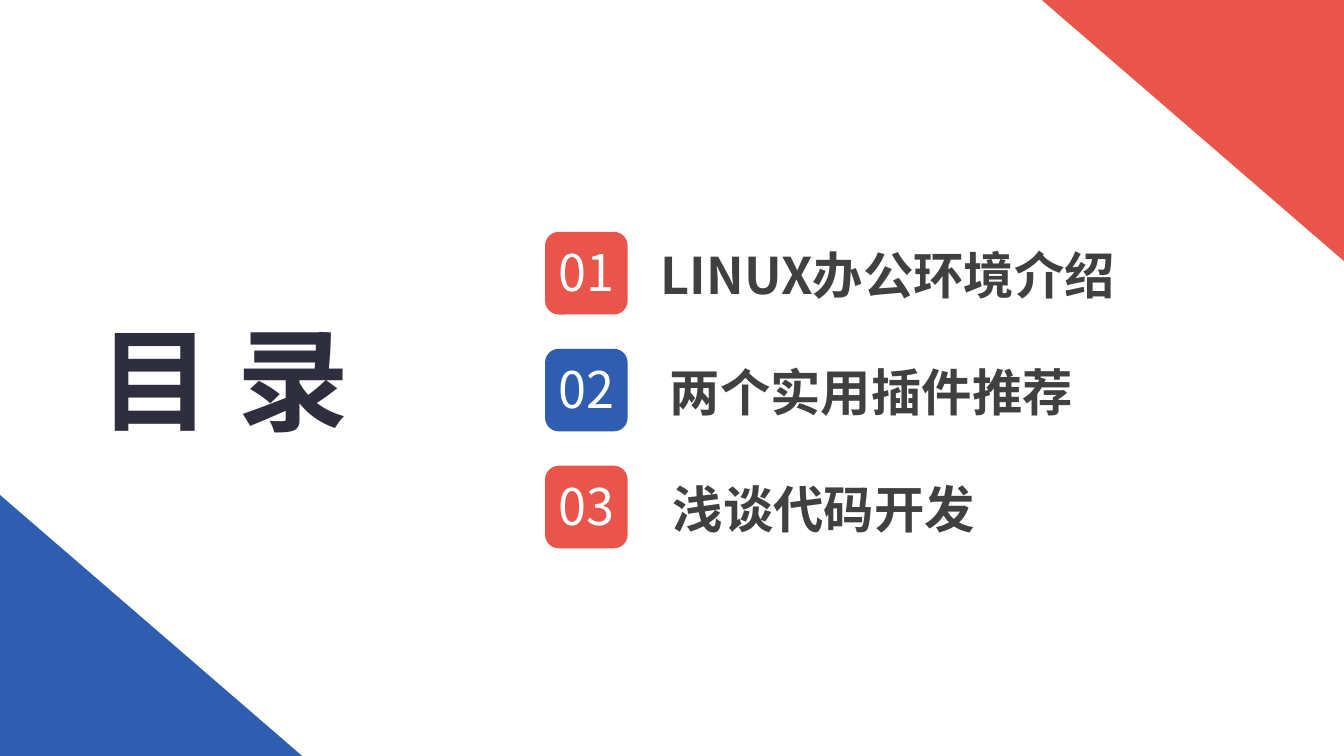
from pptx import Presentation
from pptx import util as u
from pptx.dml.color import RGBColor
from pptx.enum import shapes, text
from pptx.oxml.ns import qn
from lxml import etree

RED = RGBColor(0xE9, 0x55, 0x4A)
BLUE = RGBColor(0x2F, 0x5E, 0xB0)
NAVY = RGBColor(0x2E, 0x2E, 0x3F)
GREY = RGBColor(0x40, 0x40, 0x40)
WHITE = RGBColor(0xFF, 0xFF, 0xFF)
FONT = "Noto Sans CJK SC"
PX = 9144
WIDTH, HEIGHT = 1334, 750
CORNER_W, CORNER_H = 300, 259
TILE_LEFT, TILE_TOP, TILE_SIZE, PITCH = 541, 230, 82, 116
ENTRIES = [
    ("01", "LINUX办公环境介绍", RED, 646, 571),
    ("02", "两个实用插件推荐", BLUE, 655, 630),
    ("03", "浅谈代码开发", RED, 658, 410),
]


def write(frame, words, size=36, color=GREY, bold=False, align=text.PP_ALIGN.LEFT,
          anchor=text.MSO_ANCHOR.TOP, spacing=None):
    frame.word_wrap = True
    frame.vertical_anchor = anchor
    paragraph = frame.paragraphs[0]
    paragraph.alignment = align
    if spacing:
        paragraph.line_spacing = spacing
    run = paragraph.add_run()
    run.text = words
    run.font.size = u.Pt(size)
    run.font.bold = bold
    run.font.color.rgb = color
    run.font.name = FONT
    east_asian = etree.SubElement(run.font._element, qn("a:ea"))
    east_asian.set("typeface", FONT)


class Agenda:
    """Draws the parts of an agenda slide, measured in px of 1/100 inch."""

    def __init__(self, deck):
        self.slide = deck.slides.add_slide(deck.slide_layouts[5])

    def box(self, *lengths):
        return [u.Emu(length * PX) for length in lengths]

    def shape(self, kind, bounds, color, adjustment=None):
        drawn = self.slide.shapes.add_shape(kind, *self.box(*bounds))
        drawn.shadow.inherit = False
        drawn.fill.solid()
        drawn.fill.fore_color.rgb = color
        drawn.line.fill.background()
        if adjustment is not None:
            drawn.adjustments[0] = adjustment
        return drawn

    def corner(self, left, top, color, rotation=0):
        triangle = self.shape(shapes.MSO_SHAPE.ISOSCELES_TRIANGLE,
                              (left, top, CORNER_W, CORNER_H), color, 0)
        triangle.rotation = rotation

    def title(self, words, bounds):
        heading = self.slide.shapes.title
        heading.left, heading.top, heading.width, heading.height = self.box(*bounds)
        heading.text_frame.auto_size = text.MSO_AUTO_SIZE.SHAPE_TO_FIT_TEXT
        write(heading.text_frame, words, size=80, color=NAVY, bold=True, spacing=1.14)

    def tile(self, number, top, color):
        tile = self.shape(shapes.MSO_SHAPE.ROUNDED_RECTANGLE,
                          (TILE_LEFT, top, TILE_SIZE, TILE_SIZE), color)
        frame = tile.text_frame
        frame.margin_left = frame.margin_right = frame.margin_top = 0
        frame.margin_bottom = u.Emu(3 * PX)
        write(frame, number, color=WHITE, align=text.PP_ALIGN.CENTER,
              anchor=text.MSO_ANCHOR.MIDDLE)

    def label(self, words, bounds):
        topic = self.slide.shapes.add_textbox(*self.box(*bounds))
        topic.text_frame.auto_size = text.MSO_AUTO_SIZE.SHAPE_TO_FIT_TEXT
        write(topic.text_frame, words, bold=True)


def main():
    deck = Presentation()
    deck.slide_width, deck.slide_height = u.Emu(WIDTH * PX), u.Emu(HEIGHT * PX)
    agenda = Agenda(deck)
    agenda.corner(WIDTH - CORNER_W, 0, RED, rotation=180)
    agenda.corner(0, HEIGHT - CORNER_H, BLUE)
    agenda.title("目 录", (89, 284, 357, 279))
    for row, (number, topic, color, left, width) in enumerate(ENTRIES):
        top = TILE_TOP + row * PITCH
        agenda.tile(number, top, color)
        agenda.label(topic, (left, top + 7, width, 71))
    deck.save("out.pptx")


if __name__ == "__main__":
    main()
